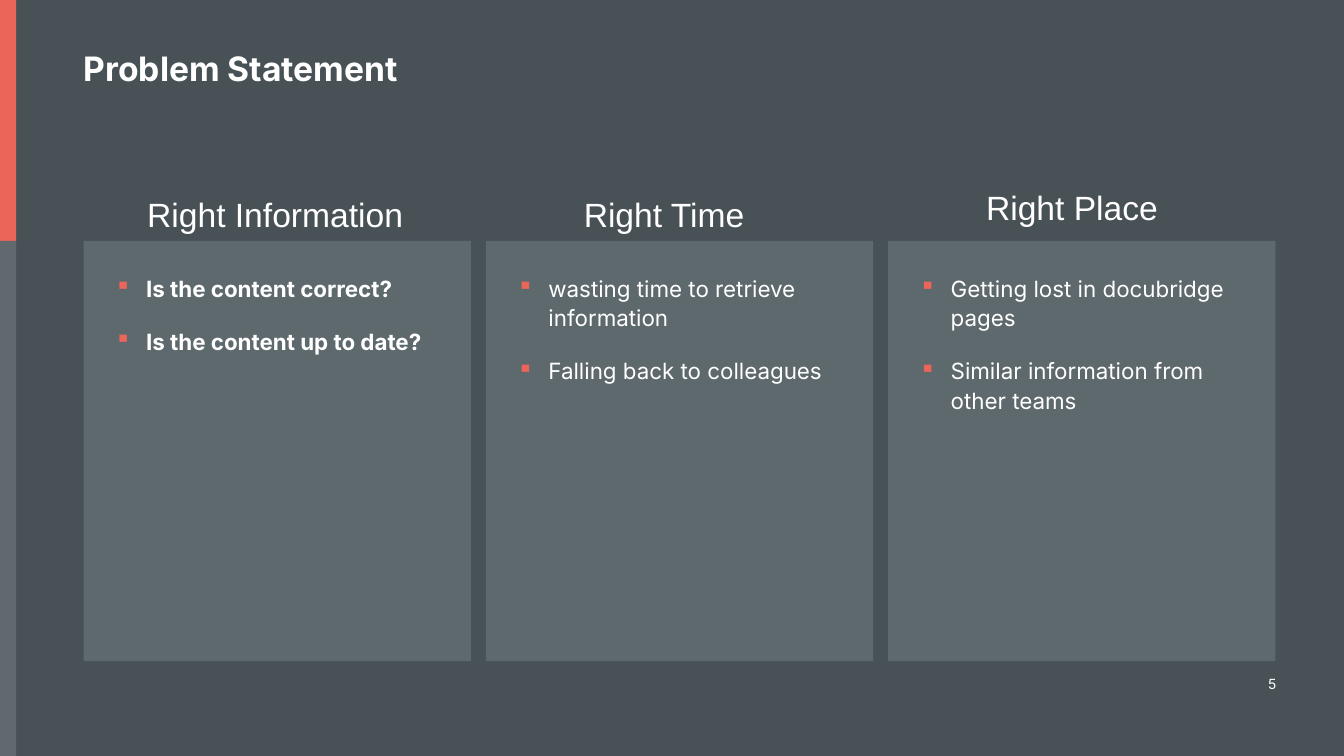
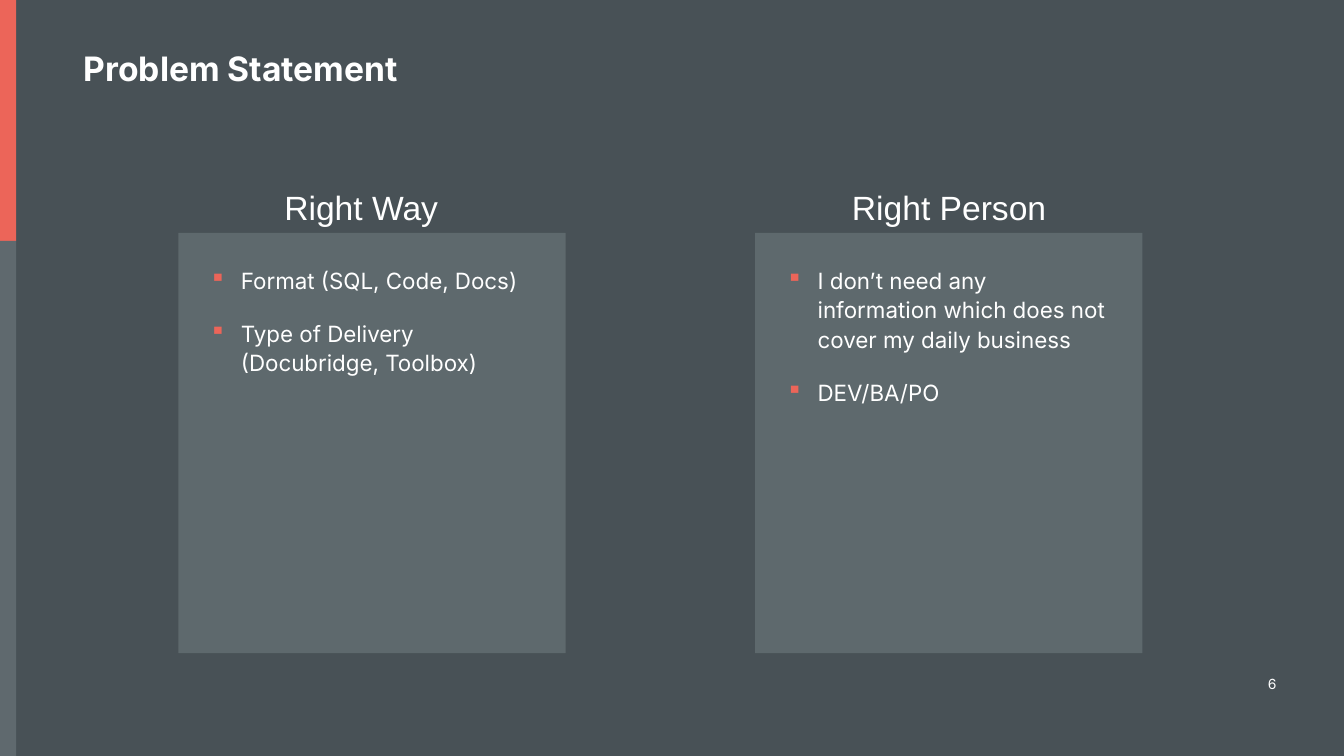
from dataclasses import dataclass

from lxml import etree
from pptx import Presentation
from pptx.dml.color import RGBColor
from pptx.enum.shapes import MSO_SHAPE
from pptx.enum.text import MSO_ANCHOR, PP_ALIGN
from pptx.oxml.ns import qn
from pptx.util import Inches, Pt

RECTANGLE = MSO_SHAPE.RECTANGLE
TOP = MSO_ANCHOR.TOP
LEFT = PP_ALIGN.LEFT
RIGHT = PP_ALIGN.RIGHT


@dataclass(frozen=True)
class Theme:
    background: str = "485156"
    accent: str = "EC6559"
    rail: str = "5F696E"
    panel: str = "5E696D"
    text: str = "FFFFFF"
    body_font: str = "Inter"
    heading_font: str = "Arial"
    title_size: int = 24
    heading_size: int = 24
    body_size: int = 16
    number_size: int = 10
    line_spacing: float = 1.1


@dataclass(frozen=True)
class Card:
    heading: str
    points: tuple
    heading_indent: float
    heading_rise: float
    bold: bool = False


THEME = Theme()
PAGE_WIDTH, PAGE_HEIGHT = 13.33, 7.5
MARGIN = 0.83
RAIL_WIDTH, ACCENT_HEIGHT = 0.16, 2.39
CARD_WIDTH, CARD_HEIGHT = 3.84, 4.17
CARD_PADDING = 0.31

WHAT_WHEN_WHERE = (
    Card("Right Information",
         ("Is the content correct?", "Is the content up to date?"),
         0.63, 0.51, bold=True),
    Card("Right Time",
         ("wasting time to retrieve information", "Falling back to colleagues"),
         0.97, 0.51),
    Card("Right Place",
         ("Getting lost in docubridge pages", "Similar information from other teams"),
         0.97, 0.58),
)
HOW_WHO = (
    Card("Right Way",
         ("Format (SQL, Code, Docs)", "Type of Delivery (Docubridge, Toolbox)"),
         1.05, 0.5),
    Card("Right Person",
         ("I don’t need any information which does not cover my daily business",
          "DEV/BA/PO"),
         0.96, 0.5),
)


def add_block(page, left, top, width, height, color):
    block = page.shapes.add_shape(
        RECTANGLE, Inches(left), Inches(top), Inches(width), Inches(height))
    block.shadow.inherit = False
    block.fill.solid()
    block.fill.fore_color.rgb = RGBColor.from_string(color)
    block.line.fill.background()
    return block


def set_frame(frame, insets):
    frame.word_wrap = True
    frame.vertical_anchor = TOP
    (frame.margin_left, frame.margin_top,
     frame.margin_right, frame.margin_bottom) = map(Inches, insets)


def style_para(para, size, font=THEME.body_font, bold=False, align=LEFT,
               spacing=THEME.line_spacing):
    para.alignment = align
    para.line_spacing = spacing
    for span in para.runs:
        span.font.size = Pt(size)
        span.font.name = font
        span.font.bold = bold
        span.font.color.rgb = RGBColor.from_string(THEME.text)


def add_label(page, text, left, top, width, height, size,
              insets=(0, 0, 0, 0), **style):
    box = page.shapes.add_textbox(
        Inches(left), Inches(top), Inches(width), Inches(height))
    set_frame(box.text_frame, insets)
    box.text_frame.text = text
    style_para(box.text_frame.paragraphs[0], size, **style)


def add_bullet(para):
    properties = para._p.get_or_add_pPr()
    properties.set("marL", str(Inches(CARD_PADDING)))
    properties.set("indent", str(-Inches(CARD_PADDING)))
    color = etree.SubElement(properties, qn("a:buClr"))
    etree.SubElement(color, qn("a:srgbClr"), val=THEME.accent)
    etree.SubElement(properties, qn("a:buChar"), char="▪")


def add_card(page, card, left, top):
    panel = add_block(page, left, top, CARD_WIDTH, CARD_HEIGHT, THEME.panel)
    frame = panel.text_frame
    set_frame(frame, (CARD_PADDING,) * 4)
    frame.text = "\n".join(card.points)
    for index, para in enumerate(frame.paragraphs):
        add_bullet(para)
        style_para(para, THEME.body_size, bold=card.bold)
        para.space_before = Pt(1 if index else 0)
        para.space_after = Pt(16)
    add_label(page, card.heading, left + card.heading_indent,
              top - card.heading_rise, 2.8, 0.5, THEME.heading_size,
              font=THEME.heading_font)


def add_page(deck, title, number):
    page = deck.slides.add_slide(deck.slide_layouts[6])
    add_block(page, 0, 0, RAIL_WIDTH, ACCENT_HEIGHT, THEME.accent)
    add_block(page, 0, ACCENT_HEIGHT, RAIL_WIDTH,
              PAGE_HEIGHT - ACCENT_HEIGHT, THEME.rail)
    add_label(page, title, MARGIN, 0, 9.8, 0.96, THEME.title_size,
              insets=(0, 0.51, 0.39, 0.04), bold=True, spacing=Pt(30.8))
    add_label(page, str(number), 11.96, 6.57, 0.7, 0.93, THEME.number_size,
              insets=(0.39, 0.39, 0, 0.35), align=RIGHT)
    return page


def add_card_page(deck, number, cards, left, top, gap):
    page = add_page(deck, "Problem Statement", number)
    for index, card in enumerate(cards):
        add_card(page, card, left + index * (CARD_WIDTH + gap), top)


def main():
    deck = Presentation()
    deck.slide_width = Inches(PAGE_WIDTH)
    deck.slide_height = Inches(PAGE_HEIGHT)
    fill = deck.slide_master.background.fill
    fill.solid()
    fill.fore_color.rgb = RGBColor.from_string(THEME.background)
    add_card_page(deck, 5, WHAT_WHEN_WHERE, MARGIN, 2.39, 0.15)
    add_card_page(deck, 6, HOW_WHO, 1.77, 2.31, 1.88)
    deck.save("out.pptx")


if __name__ == "__main__":
    main()
